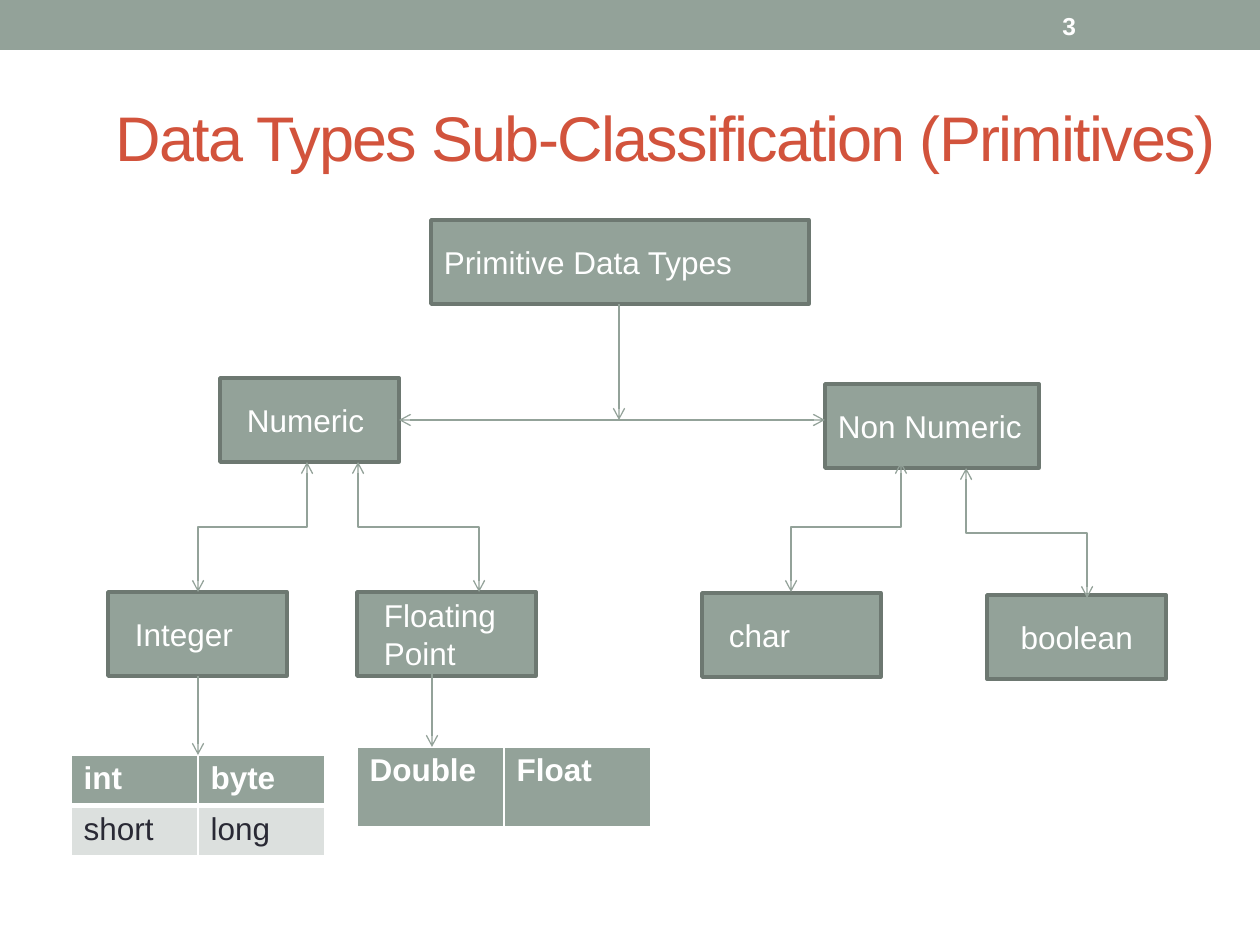
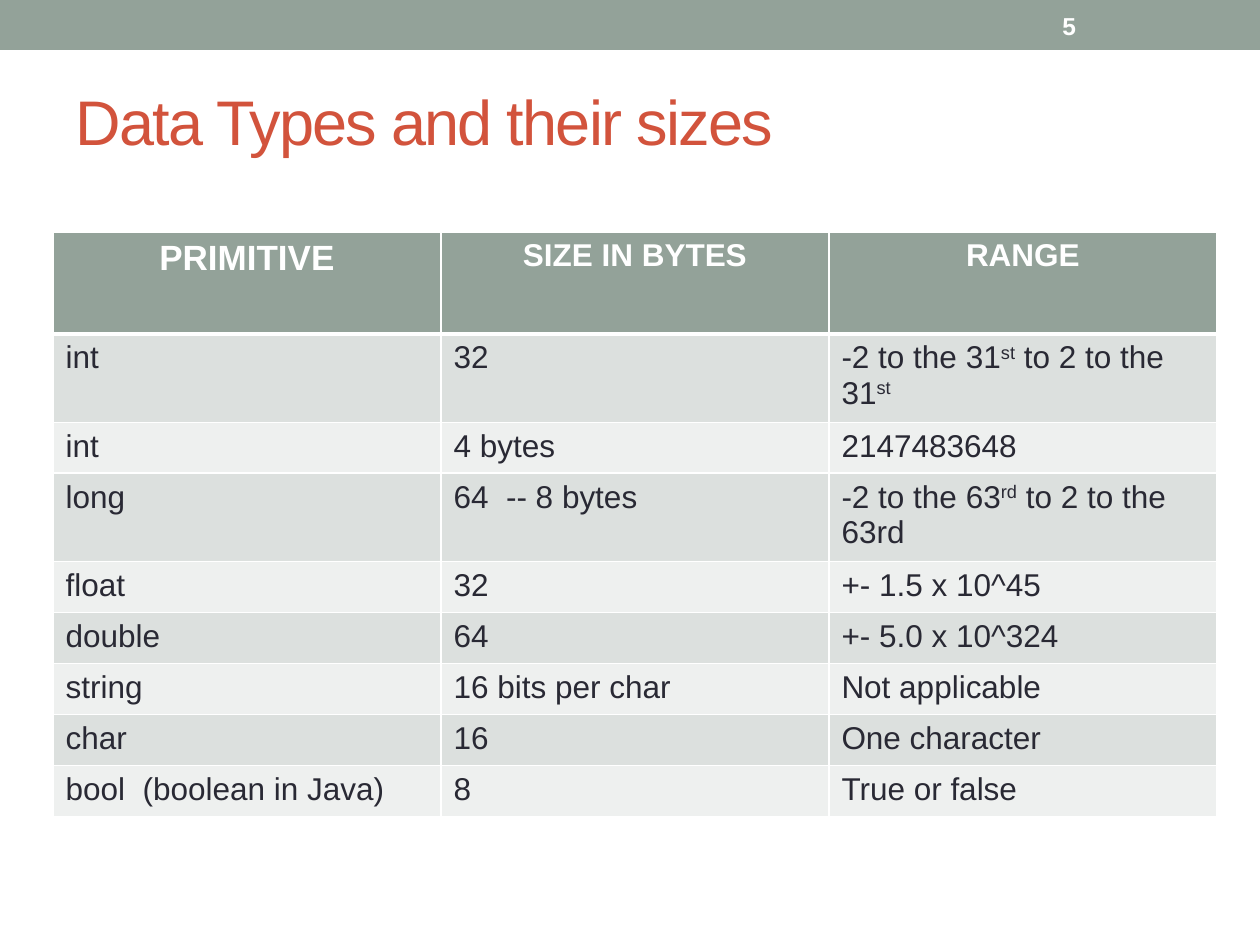
from lxml import etree
from pptx import Presentation
from pptx.dml.color import RGBColor
from pptx.enum.shapes import MSO_CONNECTOR, MSO_SHAPE
from pptx.enum.text import MSO_ANCHOR, MSO_AUTO_SIZE, PP_ALIGN
from pptx.oxml.ns import qn
from pptx.util import Pt

SCALE = 914400 / 126
RECT = MSO_SHAPE.RECTANGLE
LINE, BENT = MSO_CONNECTOR.STRAIGHT, MSO_CONNECTOR.ELBOW
LEFT, CENTER = PP_ALIGN.LEFT, PP_ALIGN.CENTER
MIDDLE, NO_FIT = MSO_ANCHOR.MIDDLE, MSO_AUTO_SIZE.NONE
TITLE_ONLY = 5
FONT = "Arial"
HEX = {
    "sage": "93A299",
    "edge": "6D7871",
    "rust": "D2533C",
    "ink": "292934",
    "white": "FFFFFF",
    "dark": "DCE0DE",
    "light": "EEF0EF",
}
SIZES = [
    ("PRIMITIVE", "SIZE IN BYTES", "RANGE"),
    ("int", "32", "-2 to the 31|st| to 2 to the 31|st"),
    ("int", "4 bytes", "2147483648"),
    ("long", "64  -- 8 bytes", "-2 to the 63|rd| to 2 to the 63rd"),
    ("float", "32", "+- 1.5 x 10^45"),
    ("double", "64", "+- 5.0 x 10^324"),
    ("string", "16 bits per char", "Not applicable"),
    ("char", "16", "One character"),
    ("bool  (boolean in Java)", "8", "True or false"),
]


def px(*sizes):
    return [round(size * SCALE) for size in sizes]


def rgb(name):
    return RGBColor.from_string(HEX[name])


def write(frame, text, size=18, color="white", bold=False, align=LEFT, track=0):
    para = frame.paragraphs[0]
    para.alignment = align
    for index, part in enumerate(text.split("|")):
        if not part:
            continue
        run = para.add_run()
        run.text = part
        run.font.name = FONT
        run.font.size = Pt(size)
        run.font.bold = bold
        run.font.color.rgb = rgb(color)
        props = run.font._element
        if track:
            props.set("spc", str(track * 100))
        if index % 2:
            props.set("baseline", "30000")


def add_rect(slide, x, y, w, h, edge=None):
    rect = slide.shapes.add_shape(RECT, *px(x, y, w, h))
    rect.shadow.inherit = False
    rect.fill.solid()
    rect.fill.fore_color.rgb = rgb("sage")
    if edge:
        rect.line.color.rgb = rgb(edge)
        rect.line.width = Pt(2.08)
    else:
        rect.line.fill.background()
    return rect


def add_page(deck, title, number, spot, align=LEFT):
    slide = deck.slides.add_slide(deck.slide_layouts[TITLE_ONLY])
    add_rect(slide, 0, 0, 1260, 50)
    head = slide.shapes.title
    head.left, head.top, head.width, head.height = px(*spot)
    frame = head.text_frame
    frame.auto_size = NO_FIT
    frame.vertical_anchor = MIDDLE
    write(frame, title, size=36, color="rust", align=align, track=-1)
    note = slide.shapes.add_textbox(*px(1050, 3, 147, 45)).text_frame
    note.word_wrap = True
    note.vertical_anchor = MIDDLE
    write(note, str(number), size=14, bold=True)
    return slide


def add_box(slide, text, x, y, w=179, inset=27, align=LEFT):
    frame = add_rect(slide, x, y, w, 84, edge="edge").text_frame
    frame.word_wrap = True
    frame.vertical_anchor = MIDDLE
    frame.margin_left = px(inset)[0]
    write(frame, text, align=align)


def style_link(link, ends):
    link.line.color.rgb = rgb("sage")
    link.line.width = Pt(0.75)
    stroke = link.line._get_or_add_ln()
    for end in ends:
        etree.SubElement(stroke, qn(f"a:{end}End"), type="arrow")
    etree.SubElement(link._element.spPr, qn("a:effectLst"))


def add_arrow(slide, x1, y1, x2, y2):
    style_link(slide.shapes.add_connector(LINE, *px(x1, y1, x2, y2)), ["tail"])


def add_bend(slide, x1, y1, x2, y2):
    mid_x, mid_y = (x1 + x2) / 2, (y1 + y2) / 2
    side = 1 if x2 < x1 else -1
    half_w, half_h = side * (y2 - y1) / 2, abs(x2 - x1) / 2
    link = slide.shapes.add_connector(
        BENT, *px(mid_x - half_w, mid_y - half_h, mid_x + half_w, mid_y + half_h))
    link.rotation = 90 if side == 1 else 270
    style_link(link, ["head", "tail"])


def add_rules(cell, header):
    props = cell._tc.get_or_add_tcPr()
    for side in "LRTB" if header else "LRB":
        width = Pt(3 if header and side == "B" else 1)
        rule = etree.SubElement(props, qn(f"a:ln{side}"), w=str(width))
        fill = etree.SubElement(rule, qn("a:solidFill"))
        etree.SubElement(fill, qn("a:srgbClr"), val=HEX["white"])


def add_grid(slide, rows, x, y, col, heights, align=LEFT, first=18):
    count = len(rows[0])
    table = slide.shapes.add_table(
        len(rows), count, *px(x, y, col * count, sum(heights))).table
    table.horz_banding = False
    for column in table.columns:
        column.width = px(col)[0]
    for r, row in enumerate(rows):
        header = r == 0
        table.rows[r].height = px(heights[r])[0]
        shade = "sage" if header else "dark" if r % 2 else "light"
        for c, text in enumerate(row):
            cell = table.cell(r, c)
            add_rules(cell, header)
            cell.fill.solid()
            cell.fill.fore_color.rgb = rgb(shade)
            write(cell.text_frame, text, bold=header,
                  size=first if r == c == 0 else 18,
                  color="white" if header else "ink",
                  align=align if header else LEFT)


def draw_tree(deck):
    slide = add_page(deck, "Data Types Sub-Classification (Primitives)", 3,
                     (99, 68, 1134, 136), align=CENTER)
    add_grid(slide, [("int", "byte"), ("short", "long")], 71, 755, 127, [50, 47])
    add_box(slide, "Primitive Data Types", 431, 220, w=378, inset=13)
    add_box(slide, "Numeric", 220, 378)
    add_box(slide, "Non Numeric", 825, 384, w=214, inset=13)
    add_box(slide, "Integer", 108, 592)
    add_box(slide, "Floating Point", 357, 592)
    add_box(slide, "char", 702, 593)
    add_box(slide, "boolean", 987, 595, inset=13, align=CENTER)
    add_grid(slide, [("Double", "Float")], 357, 747, 147, [81])
    for ends in [(619, 304, 619, 420), (619, 420, 399, 420), (619, 420, 825, 420),
                 (198, 676, 198, 755), (432, 669, 432, 747)]:
        add_arrow(slide, *ends)
    for ends in [(307, 462, 198, 592), (358, 462, 479, 592),
                 (901, 462, 791, 592), (966, 468, 1087, 598)]:
        add_bend(slide, *ends)


def draw_sizes(deck):
    slide = add_page(deck, "Data Types and their sizes", 5, (63, 73, 1134, 95))
    add_grid(slide, SIZES, 53, 232, 388, [102] + [51] * 8, align=CENTER, first=20)


def main():
    deck = Presentation()
    deck.slide_width, deck.slide_height = px(1260, 945)
    draw_tree(deck)
    draw_sizes(deck)
    deck.save("out.pptx")


if __name__ == "__main__":
    main()
